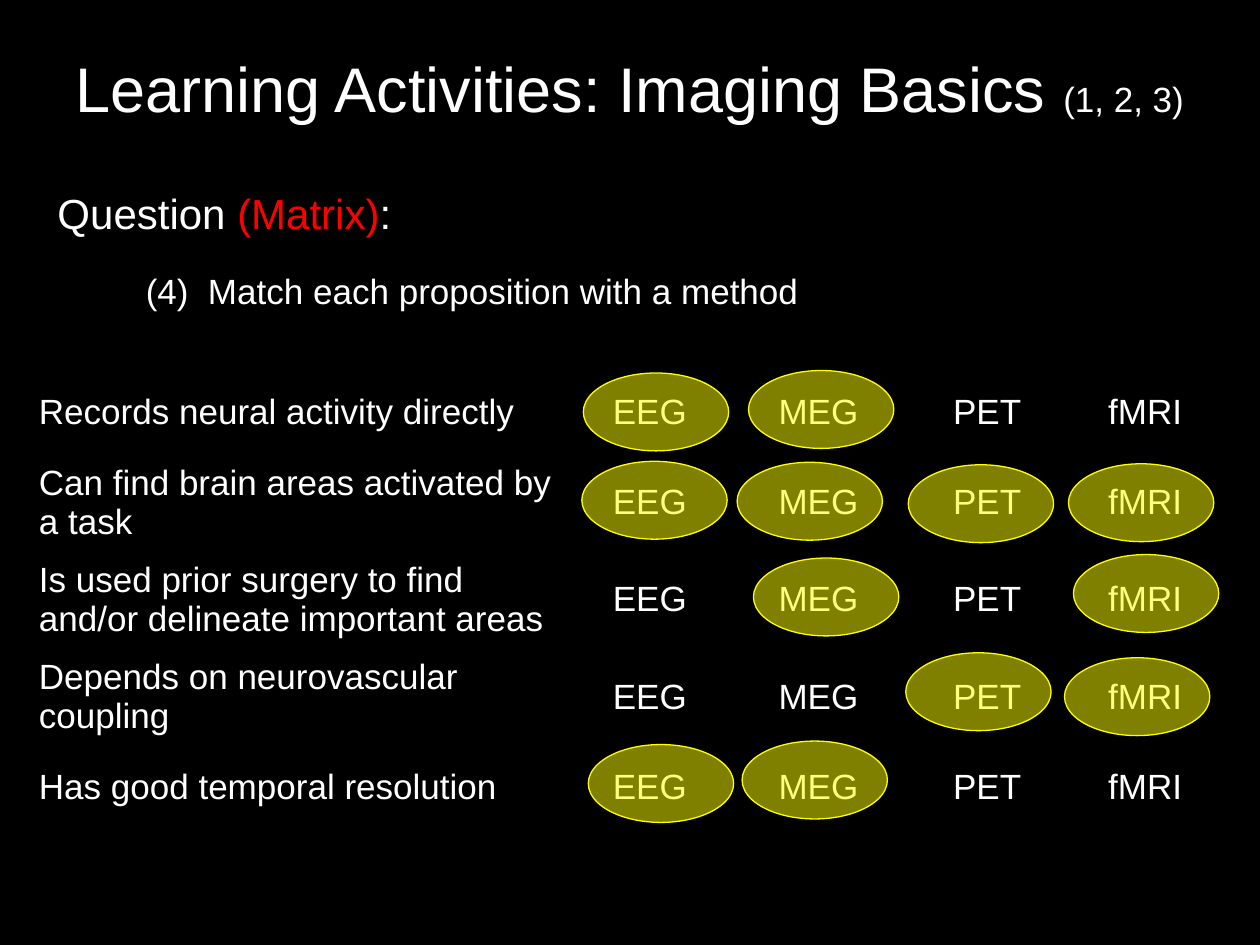
import pptx
import pptx.dml.color
import pptx.enum.shapes
import pptx.enum.text
import pptx.oxml.ns
import pptx.util
from lxml import etree

Cm = pptx.util.Cm
Pt = pptx.util.Pt
Align = pptx.enum.text.PP_ALIGN
Anchor = pptx.enum.text.MSO_ANCHOR
qn = pptx.oxml.ns.qn

COLORS = {"background": "000000", "text": "FFFFFF", "accent": "FF0000", "mark": "FFFF00"}
FONT = "Arial"
BODY_SIZE = 20
MARK_SIZE = (2.93, 1.57)


def rgb(name):
    return pptx.dml.color.RGBColor.from_string(COLORS[name])


class Deck:
    """Holds the style and the current slide."""

    def __init__(self, width, height):
        self.prs = pptx.Presentation()
        self.prs.slide_width, self.prs.slide_height = Cm(width), Cm(height)
        self.slide = self.prs.slides.add_slide(self.prs.slide_layouts[6])
        fill = self.slide.background.fill
        fill.solid()
        fill.fore_color.rgb = rgb("background")

    def style(self, font, size=BODY_SIZE, color="text"):
        font.name, font.size = FONT, Pt(size)
        font.color.rgb = rgb(color)

    def text(self, box, runs, align=Align.LEFT, anchor=Anchor.TOP, side_margin=0.25):
        """Each run is (text, size, colour)."""
        frame = self.slide.shapes.add_textbox(*map(Cm, box)).text_frame
        frame.word_wrap = True
        frame.vertical_anchor = anchor
        frame.margin_left = frame.margin_right = Cm(side_margin)
        paragraph = frame.paragraphs[0]
        paragraph.alignment = align
        for words, size, color in runs:
            run = paragraph.add_run()
            run.text = words
            self.style(run.font, size, color)

    def cell(self, cell, words, align):
        cell.text = words
        cell.vertical_anchor = Anchor.MIDDLE
        properties = cell._tc.get_or_add_tcPr()
        for side in ("a:lnL", "a:lnR", "a:lnT", "a:lnB"):
            border = etree.SubElement(properties, qn(side))
            etree.SubElement(border, qn("a:noFill"))
        cell.fill.background()
        paragraph = cell.text_frame.paragraphs[0]
        paragraph.alignment = align
        self.style(paragraph.font)

    def table(self, left, top, widths, heights, rows):
        table = self.slide.shapes.add_table(
            len(rows), len(widths), Cm(left), Cm(top), Cm(sum(widths)), Cm(sum(heights))).table
        table.first_row = table.horz_banding = False
        for column, width in zip(table.columns, widths):
            column.width = Cm(width)
        for r, (row, height) in enumerate(zip(rows, heights)):
            table.rows[r].height = Cm(height)
            for c, words in enumerate(row):
                self.cell(table.cell(r, c), words, Align.CENTER if c else Align.LEFT)

    def mark(self, left, top):
        oval = self.slide.shapes.add_shape(
            pptx.enum.shapes.MSO_SHAPE.OVAL, *map(Cm, (left, top) + MARK_SIZE))
        oval.shadow.inherit = False
        oval.fill.solid()
        oval.fill.fore_color.rgb = rgb("mark")
        color = oval._element.spPr.find(qn("a:solidFill"))[0]
        etree.SubElement(color, qn("a:alpha"), val="50000")
        oval.line.color.rgb = rgb("mark")
        oval.line.width = Pt(0.75)


deck = Deck(25.4, 19.05)

# Heading and question
deck.text((1.27, 0.76, 22.86, 2.01),
          [("Learning Activities: Imaging Basics ", 36, "text"), ("(1, 2, 3)", 20, "text")],
          Align.CENTER, Anchor.MIDDLE, side_margin=0)
deck.text((0.91, 3.66, 11.18, 1.27),
          [("Question ", 24, "text"), ("(Matrix)", 24, "accent"), (":", 24, "text")])
deck.text((2.69, 5.31, 21, 1.12),
          [("(4)  Match each proposition with a method", BODY_SIZE, "text")])

# Propositions, each with the left and top of the marks on its correct methods
METHODS = ["EEG", "MEG", "PET", "fMRI"]
answers = {
    "Records neural activity directly":
        [(15.09, 7.47), (11.76, 7.52)],
    "Can find brain areas activated by a task":
        [(11.73, 9.3), (14.86, 9.32), (18.31, 9.37), (21.54, 9.35)],
    "Is used prior surgery to find and/or delineate important areas":
        [(21.64, 11.18), (15.19, 11.25)],
    "Depends on neurovascular coupling":
        [(18.26, 13.16), (21.46, 13.26)],
    "Has good temporal resolution":
        [(14.96, 14.94), (11.86, 15.01)],
}
deck.table(0.53, 7.47, [10.87, 3.4, 3.4, 3.4, 2.97], [1.68, 1.96, 1.96, 1.96, 1.68],
           [[proposition] + METHODS for proposition in answers])

# Answer marks
for marks in answers.values():
    for left, top in marks:
        deck.mark(left, top)

deck.prs.save("out.pptx")
